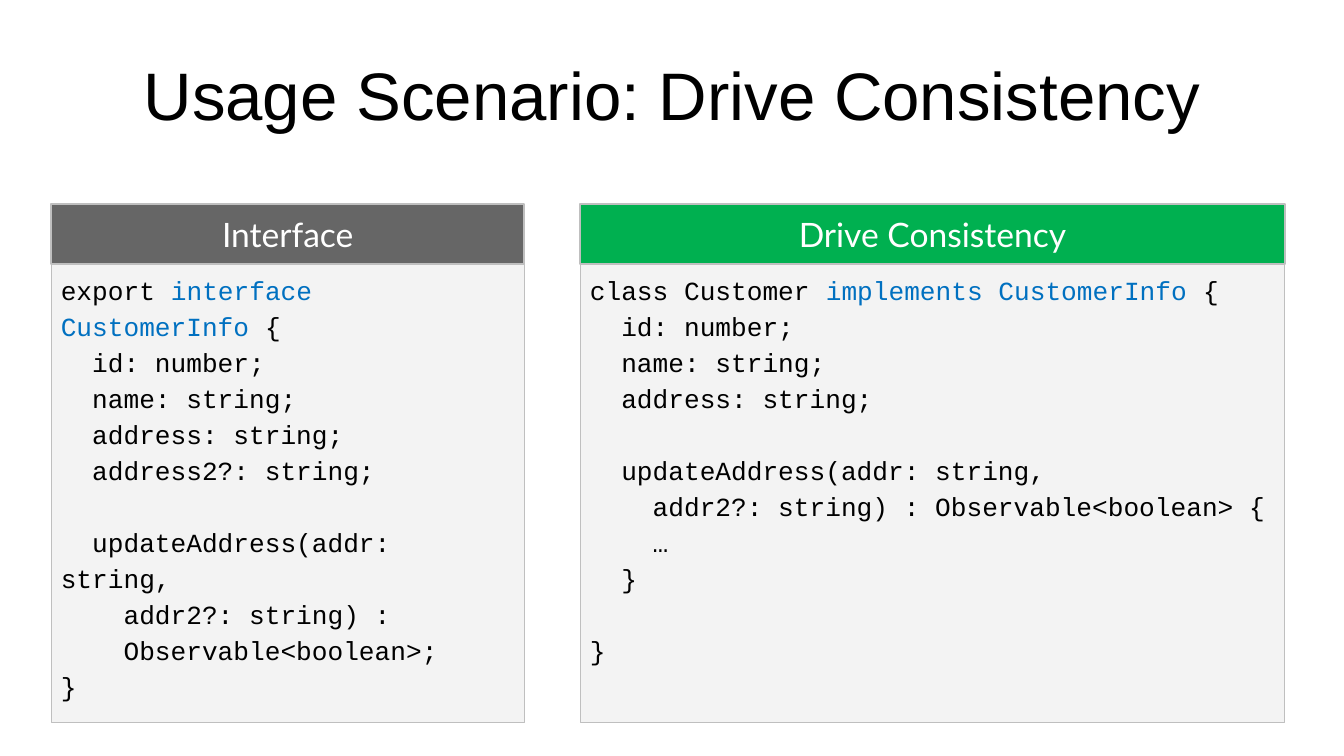
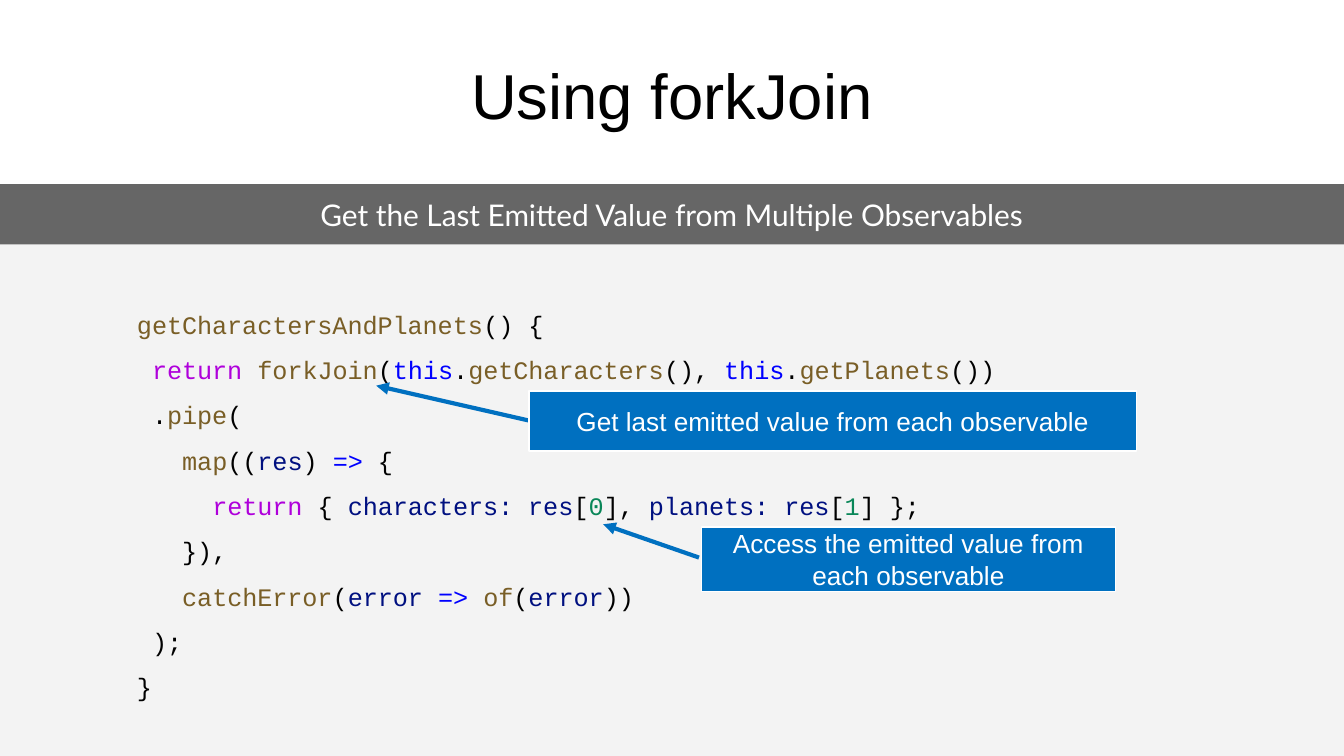
"""Build two slides on TypeScript interfaces and forkJoin."""
from lxml import etree
from pptx import Presentation
from pptx.dml.color import RGBColor
from pptx.enum.shapes import MSO_CONNECTOR, MSO_SHAPE
from pptx.enum.text import MSO_ANCHOR, PP_ALIGN
from pptx.oxml.ns import qn
from pptx.util import Cm, Pt

RECT = MSO_SHAPE.RECTANGLE
STRAIGHT = MSO_CONNECTOR.STRAIGHT
TOP, MIDDLE = MSO_ANCHOR.TOP, MSO_ANCHOR.MIDDLE
LEFT, CENTER = PP_ALIGN.LEFT, PP_ALIGN.CENTER

COLORS = {
    "black": "000000", "white": "FFFFFF", "dark": "666666", "pale": "F3F3F3",
    "border": "BFBFBF", "green": "00B050", "blue": "0070C0",
    "func": "795E26", "flow": "AF00DB", "keyword": "0000FF",
    "var": "001080", "number": "098658",
}
SANS, HEAD, MONO = "Arial", "Lato", "Courier New"
WIDTH, HEIGHT = 25.4, 14.29
BAR = 1.14


def rgb(name):
    """Look up a named colour."""
    return RGBColor.from_string(COLORS[name])


class Deck:
    """Holds the presentation, its style and the current slide."""

    def __init__(self):
        """Start an empty widescreen presentation."""
        self.prs = Presentation()
        self.prs.slide_width, self.prs.slide_height = Cm(WIDTH), Cm(HEIGHT)
        self.s = None

    def slide(self, title, size):
        """Add a slide with a centred title."""
        self.s = self.prs.slides.add_slide(self.prs.slide_layouts[5])
        sp = self.s.shapes.title
        sp.left, sp.top, sp.width, sp.height = Cm(1.27), Cm(0.58), Cm(22.86), Cm(2.39)
        self.label(sp, title, SANS, size, "black")

    def frame(self, sp, anchor, dx, dy):
        """Set wrapping, anchor and insets, and return the text frame."""
        tf = sp.text_frame
        tf.word_wrap, tf.vertical_anchor = True, anchor
        tf.margin_left = tf.margin_right = Cm(dx)
        tf.margin_top = tf.margin_bottom = Cm(dy)
        return tf

    def run(self, p, text, font, size, color):
        """Add one formatted run."""
        r = p.add_run()
        r.text = text
        r.font.name, r.font.size = font, Pt(size)
        r.font.color.rgb = rgb(color)

    def label(self, sp, text, font, size, color="white"):
        """Write one centred line of text into a shape."""
        p = self.frame(sp, MIDDLE, 0.25, 0.25).paragraphs[0]
        p.alignment = CENTER
        self.run(p, text, font, size, color)

    def box(self, at, fill, line=None, weight=0.75, parent=None):
        """Add a plain rectangle."""
        sp = (parent or self.s).shapes.add_shape(RECT, *map(Cm, at))
        sp.shadow.inherit = False
        sp.fill.solid()
        sp.fill.fore_color.rgb = rgb(fill)
        if line:
            sp.line.color.rgb = rgb(line)
            sp.line.width = Pt(weight)
        else:
            sp.line.fill.background()
        return sp

    def code(self, sp, lines, size, spacing, gap=0):
        """Write code lines; None leaves a gap before the next line."""
        tf = self.frame(sp, TOP, 0.18, 0.1)
        p, before = tf.paragraphs[0], 0
        for i, line in enumerate(lines):
            if line is None:
                before = gap
                continue
            if i:
                p = tf.add_paragraph()
            p.alignment, p.line_spacing = LEFT, spacing
            p.space_before, before = Pt(before), 0
            for part in [line] if isinstance(line, str) else line:
                text, color = (part, "black") if isinstance(part, str) else part
                self.run(p, text, MONO, size, color)

    def panel(self, left, width, heading, fill, lines):
        """Add a headed code panel."""
        top = 3.86
        self.label(self.box((left, top, width, BAR), fill, "border", 1), heading, HEAD, 18)
        body = self.box((left, top + BAR, width, 8.66), "pale", "border")
        self.code(body, lines, 14, 1.15, 19.3)

    def callout(self, text, at, start, tip):
        """Add a grouped note with an arrow to the code."""
        group = self.s.shapes.add_group_shape()
        cx = group.shapes.add_connector(STRAIGHT, *map(Cm, start + tip))
        cx.line.color.rgb = rgb("blue")
        cx.line.width = Pt(2.25)
        etree.SubElement(cx.line._get_or_add_ln(), qn("a:tailEnd"), type="triangle")
        etree.SubElement(cx._element.spPr, qn("a:effectLst"))
        self.label(self.box(at, "blue", "white", parent=group), text, SANS, 14)


def consistency(deck):
    """Build the interface slide."""
    deck.slide("Usage Scenario: Drive Consistency", 36)
    fields = ["  id: number;", "  name: string;", "  address: string;"]
    update = "  updateAddress(addr: string,"
    deck.panel(10.97, 13.31, "Drive Consistency", "green", [
        ["class Customer ", ("implements CustomerInfo", "blue"), " {"],
        *fields, None, update,
        "    addr2?: string) : Observable<boolean> {",
        "    …", "  }", None, "}",
    ])
    deck.panel(0.97, 8.94, "Interface", "dark", [
        ["export ", ("interface CustomerInfo", "blue"), " {"],
        *fields, "  address2?: string;", None, update,
        "    addr2?: string) : ", "    Observable<boolean>;", "}",
    ])


def fork_join(deck):
    """Build the forkJoin slide."""
    deck.slide("Using forkJoin", 34)
    deck.box((0, 4.6, WIDTH, HEIGHT - 4.6), "pale")
    band = deck.box((0, 3.48, WIDTH, BAR), "dark")
    deck.label(band, "Get the Last Emitted Value from Multiple Observables", HEAD, 16)
    this, arrow = ("this", "keyword"), ("=>", "keyword")
    deck.code(deck.box((2.41, 5.46, 20.4, 7.98), "pale"), [
        [("getCharactersAndPlanets", "func"), "() {"],
        [" ", ("return ", "flow"), ("forkJoin", "func"), "(", this, ".",
         ("getCharacters", "func"), "(), ", this, ".", ("getPlanets", "func"), "())"],
        [" .", ("pipe", "func"), "("],
        ["   ", ("map", "func"), "((", ("res", "var"), ") ", arrow, " {"],
        ["     ", ("return", "flow"), " { ", ("characters: res", "var"), "[",
         ("0", "number"), "], ", ("planets: res", "var"), "[", ("1", "number"), "] };"],
        "   }),",
        ["   ", ("catchError", "func"), "(", ("error ", "var"), arrow, " ",
         ("of", "func"), "(", ("error", "var"), "))"],
        " );",
        "}",
    ], 13.5, 1.5)
    deck.callout("Get last emitted value from each observable",
                 (10, 7.39, 11.48, BAR), (10, 7.95), (7.11, 7.29))
    deck.callout("Access the emitted value from each observable",
                 (13.26, 9.96, 7.82, 1.22), (13.21, 10.54), (11.4, 9.91))


def main():
    """Build and save the deck."""
    deck = Deck()
    consistency(deck)
    fork_join(deck)
    deck.prs.save("out.pptx")


if __name__ == "__main__":
    main()
